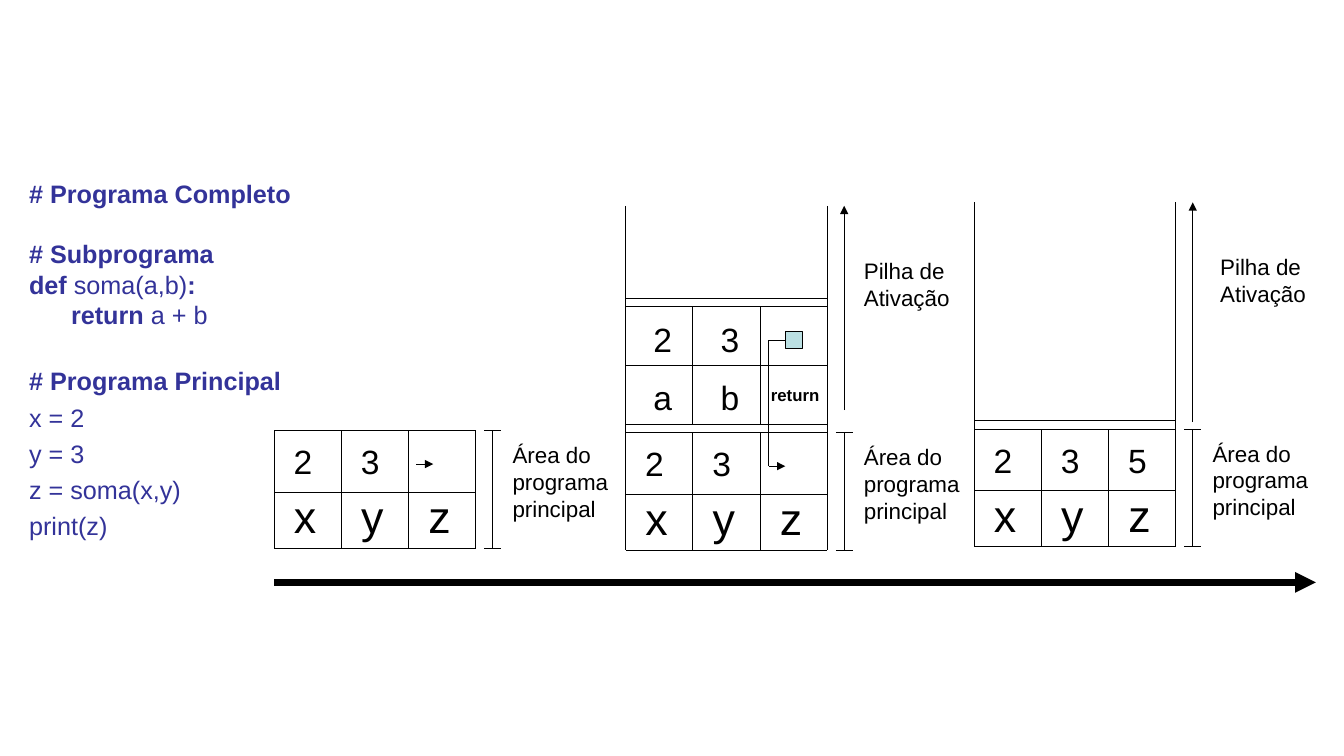
"""Build a slide that shows the call stack of a small program over time."""
from lxml import etree
from pptx import Presentation, util as u
from pptx.dml import color
from pptx.enum import shapes, text
from pptx.oxml import ns

HUES = {"ink": "000000", "code": "333399", "box": "BBE0E3"}
COL, WIDE, HIGH, GAP = 48, 144, 84, 6
STACK = 162
CODE = [
    ([("# Programa Completo", True)], 1, 0, 0),
    ([("# Subprograma", True)], 1, 21.6, 0),
    ([("def", True), (" soma(a,b)", False), (":", True)], 1, 0, 0),
    ([("return", True), (" a + b", False)], 1, 0, 30),
    ([("# Programa Principal", True)], 1.2, 21.6, 0),
    ([("x = 2", False)], 1.2, 0, 0),
    ([("y = 3", False)], 1.2, 0, 0),
    ([("z = soma(x,y)", False)], 1.2, 0, 0),
    ([("print(z)", False)], 1.2, 0, 0),
]


def hue(name):
    return color.RGBColor.from_string(HUES[name])


def line(slide, x1, y1, x2, y2, head=False, width=0.75):
    ends = [u.Pt(n) for n in (x1, y1, x2, y2)]
    wire = slide.shapes.add_connector(shapes.MSO_CONNECTOR.STRAIGHT, *ends)
    wire.line.width = u.Pt(width)
    wire.line.color.rgb = hue("ink")
    if head:
        edge = wire.line._get_or_add_ln()
        etree.SubElement(edge, ns.qn("a:tailEnd"), type="triangle")
    etree.SubElement(wire._element.spPr, ns.qn("a:effectLst"))


def frame(slide, x, y, w, h):
    box = slide.shapes.add_textbox(u.Pt(x), u.Pt(y), u.Pt(w), u.Pt(h))
    box.text_frame.word_wrap = True
    return box.text_frame


def style(para, size, ink, ratio=1):
    para.font.name = "Arial"
    para.font.size = u.Pt(size)
    para.font.color.rgb = hue(ink)
    para.line_spacing = u.Pt(round(size * 1.2 * ratio, 1))


def label(slide, x, y, rows):
    body = frame(slide, x, y, 87, 19.2 * len(rows) + 7.2)
    body.text = "\n".join(rows)
    for para in body.paragraphs:
        style(para, 16, "ink")


def cells(slide, words, mid, y, size, bold=False):
    """Centre one word in each column, the first at mid."""
    for i, word in enumerate(words):
        body = frame(slide, mid + i * COL - 25, y, 50, size * 1.2 + 7.2)
        body.text = word
        para = body.paragraphs[0]
        para.alignment = text.PP_ALIGN.CENTER
        style(para, size, "ink")
        para.font.bold = bold


def grid(slide, x, y, split):
    for row in (0, split, HIGH):
        line(slide, x, y + row, x + WIDE, y + row)
    for col in (x + COL, x + 2 * COL):
        line(slide, col, y, col, y + HIGH)


def area(slide, x, y, vals, rise=0):
    """Draw the main program's variables and their bracket."""
    grid(slide, x, y, 44)
    for side in (x, x + WIDE):
        line(slide, side, y - rise, side, y + HIGH)
    cells(slide, vals, x + 20.5, y + 4, 24)
    cells(slide, "xyz", x + 22, y + 38, 32)
    line(slide, x + 156, y, x + 156, y + HIGH)
    for cap in (y, y + HIGH):
        line(slide, x + 150, cap, x + 162, cap)
    label(slide, x + 163, y + 4, ["Área do", "programa", "principal"])


def stack(slide, x, y, base, shift):
    """Draw the stack's lower edge, its growth arrow and its name."""
    line(slide, x, y - GAP, x + WIDE, y - GAP)
    line(slide, x + 156, y - base, x + 156, y - STACK, head=True)
    label(slide, x + shift, y - 129, ["Pilha de", "Ativação"])


def record(slide, x, y):
    """Draw the function's record with its return pointer."""
    top = y - GAP - HIGH
    line(slide, x, top - GAP, x + WIDE, top - GAP)
    grid(slide, x, top, 42)
    cells(slide, "23", x + 26.4, top + 5, 24)
    cells(slide, "ab", x + 26.4, top + 46.5, 24)
    cells(slide, ["return"], x + 121, top + 52.5, 12, bold=True)
    place = [u.Pt(n) for n in (x + 114, top + 18, 12, 12)]
    box = slide.shapes.add_shape(shapes.MSO_SHAPE.RECTANGLE, *place)
    box.shadow.inherit = False
    box.fill.solid()
    box.fill.fore_color.rgb = hue("box")
    box.line.color.rgb = hue("ink")
    box.line.width = u.Pt(0.75)
    turn, tip, low = x + 102, x + 114, y + 24
    line(slide, tip, top + 24, turn, top + 24)
    line(slide, turn, top + 24, turn, low)
    line(slide, turn, low, tip, low, head=True)


def code(slide):
    body = frame(slide, 13.7, 123.8, 204.5, 268.6)
    for i, (runs, ratio, space, dent) in enumerate(CODE):
        para = body.add_paragraph() if i else body.paragraphs[0]
        style(para, 18, "code", ratio)
        para.space_before = u.Pt(space)
        if dent:
            para._p.get_or_add_pPr().set("marL", str(u.Pt(dent)))
        for words, bold in runs:
            run = para.add_run()
            run.text = words
            run.font.bold = bold


def main():
    deck = Presentation()
    deck.slide_width, deck.slide_height = u.Pt(960), u.Pt(540)
    slide = deck.slides.add_slide(deck.slide_layouts[6])
    area(slide, 196, 307.5, "23")
    line(slide, 297.5, 331.5, 309.5, 331.5, head=True)
    area(slide, 447, 309, "23", STACK)
    stack(slide, 447, 309, 16, 163)
    record(slide, 447, 309)
    area(slide, 696, 306.5, "235", STACK)
    stack(slide, 696, 306.5, 5, 168.5)
    code(slide)
    line(slide, 196, 416, 940, 416, head=True, width=5)
    deck.save("out.pptx")


main()
